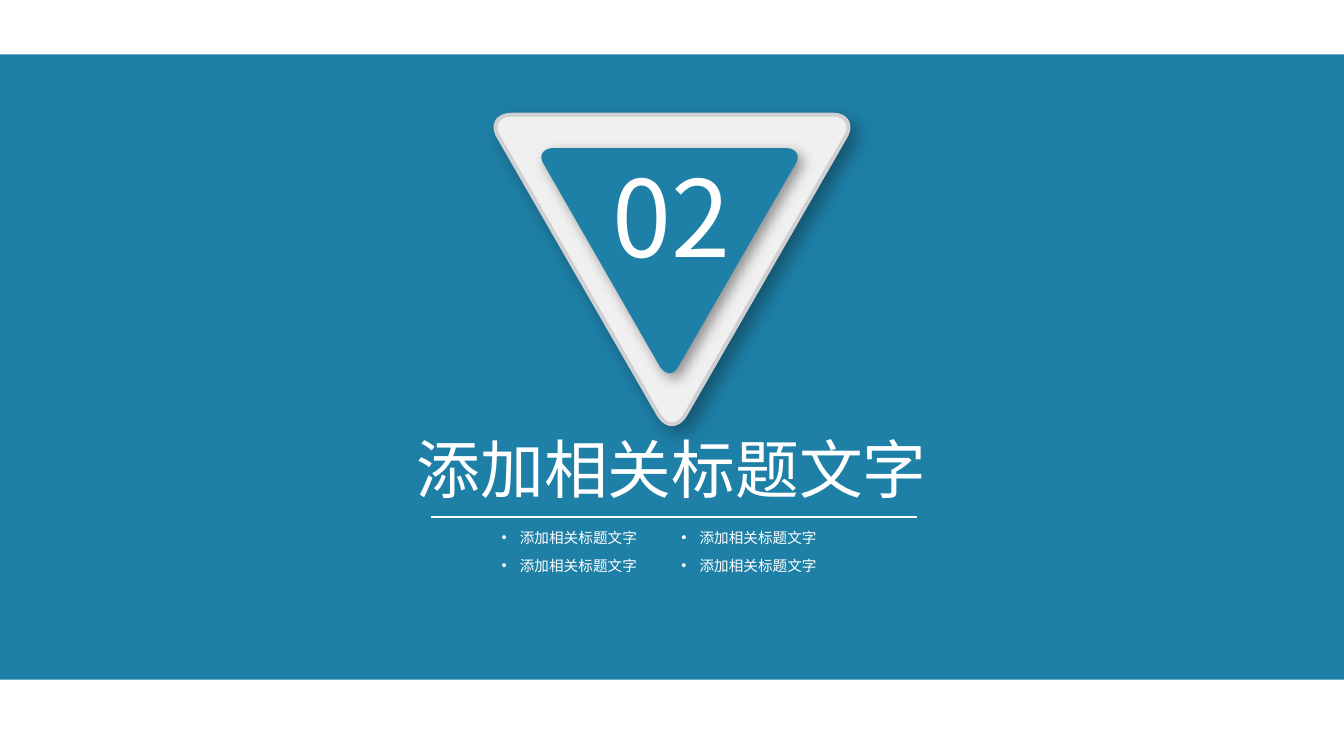
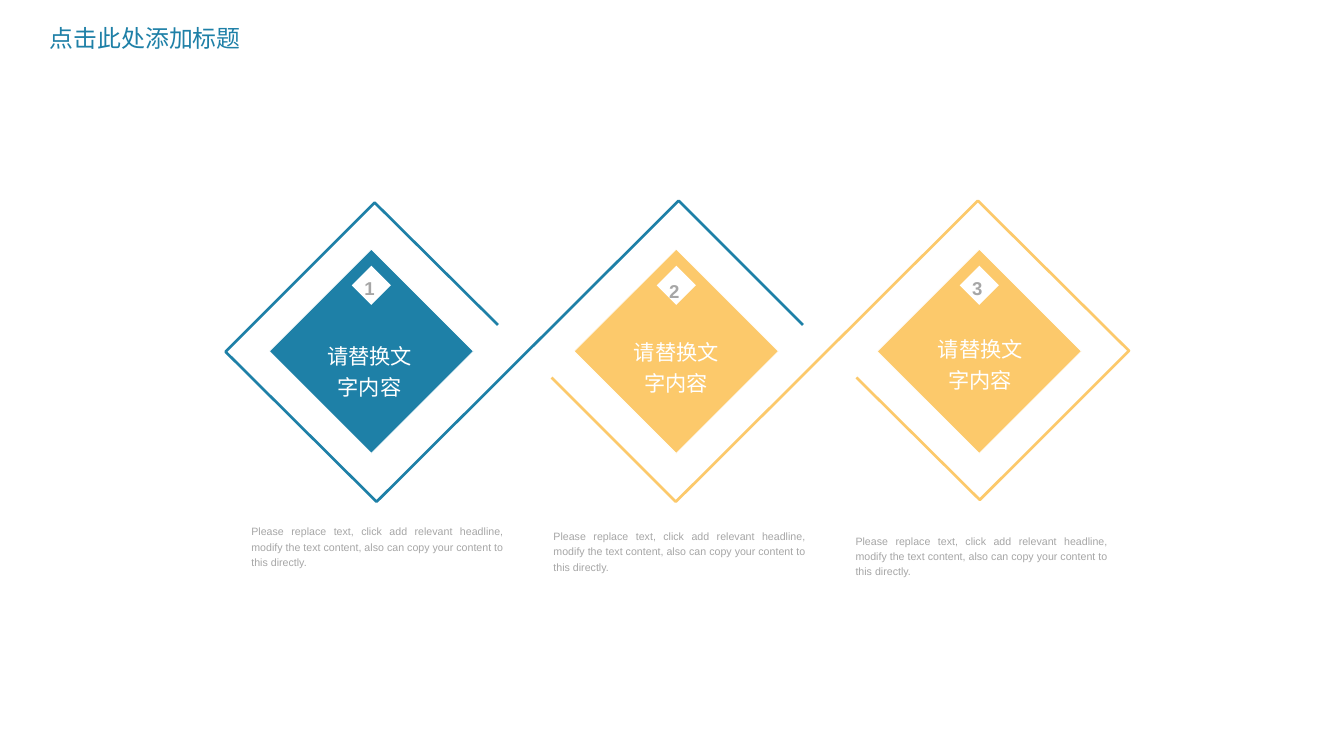
from lxml import etree
from pptx import Presentation
from pptx.dml.color import RGBColor
from pptx.enum.shapes import MSO_CONNECTOR as Connector, MSO_SHAPE as Shape
from pptx.enum.text import MSO_ANCHOR as Anchor, MSO_AUTO_SIZE as AutoSize, PP_ALIGN as Align
from pptx.oxml.ns import qn
from pptx.util import Emu, Inches, Pt

BLUE, YELLOW, WHITE = "1E80A7", "FCC96B", "FFFFFF"
GREY, PALE, EDGE = "A6A6A6", "F0F0F0", "D0CFD1"
ARIAL, NOTO = "Arial", "Noto Sans CJK SC"
TOPIC = "添加相关标题文字"
BODY = ("Please replace text, click add relevant headline, modify the text content, "
        "also can copy your content to this directly.")

# Each corner is a cubic curve: start, two control points, end.
OUTER_CORNERS = [
    [(5.22, 1.44), (5.14, 1.31), (5.2, 1.2), (5.36, 1.2)],
    [(8.71, 1.2), (8.86, 1.2), (8.92, 1.31), (8.84, 1.44)],
    [(7.17, 4.34), (7.09, 4.47), (6.97, 4.47), (6.89, 4.34)],
]
INNER_CORNERS = [
    [(5.69, 1.72), (5.63, 1.63), (5.68, 1.55), (5.79, 1.55)],
    [(8.22, 1.55), (8.33, 1.55), (8.38, 1.63), (8.32, 1.72)],
    [(7.1, 3.83), (7.05, 3.93), (6.96, 3.93), (6.9, 3.83)],
]


def color(value):
    return RGBColor.from_string(value)


def curve_points(corner, steps=12):
    """Sample a cubic curve, both ends included."""
    points = []
    for step in range(steps + 1):
        t = step / steps
        weights = ((1 - t) ** 3, 3 * t * (1 - t) ** 2, 3 * t * t * (1 - t), t ** 3)
        points.append(tuple(sum(weight * point[axis] for weight, point in zip(weights, corner))
                            for axis in (0, 1)))
    return points


class Deck:
    """The presentation, its style and the slide being filled."""

    def __init__(self, width, height):
        self.presentation = Presentation()
        self.presentation.slide_width = Inches(width)
        self.presentation.slide_height = Inches(height)
        self.slide = None

    def new_slide(self):
        self.slide = self.presentation.slides.add_slide(self.presentation.slide_layouts[6])

    def paint(self, shape, fill=None, line=None, weight=1):
        shape.shadow.inherit = False
        if fill:
            shape.fill.solid()
            shape.fill.fore_color.rgb = color(fill)
        else:
            shape.fill.background()
        if line:
            shape.line.color.rgb = color(line)
            shape.line.width = Pt(weight)
        else:
            shape.line.fill.background()
        return shape

    def rectangle(self, left, top, width, height, rotation=0, **style):
        shape = self.slide.shapes.add_shape(
            Shape.RECTANGLE, Inches(left), Inches(top), Inches(width), Inches(height))
        shape.rotation = rotation
        return self.paint(shape, **style)

    def outline(self, points, close=False, **style):
        points = [(Inches(x), Inches(y)) for x, y in points]
        builder = self.slide.shapes.build_freeform(*points[0])
        builder.add_line_segments(points[1:], close=close)
        return self.paint(builder.convert_to_shape(), **style)

    def rounded_triangle(self, corners, shadow, **style):
        points = [point for corner in corners for point in curve_points(corner)]
        self.cast_shadow(self.outline(points, close=True, **style), *shadow)

    def cast_shadow(self, shape, opacity, blur, distance, angle=45):
        effects = shape._element.spPr.find(qn("a:effectLst"))
        outer = etree.SubElement(
            effects, qn("a:outerShdw"), blurRad=str(Pt(blur)), dist=str(Pt(distance)),
            dir=str(angle * 60000), algn="tl", rotWithShape="0")
        black = etree.SubElement(outer, qn("a:srgbClr"), val="000000")
        etree.SubElement(black, qn("a:alpha"), val=str(opacity * 1000))

    def rule(self, start, end, line, weight):
        connector = self.slide.shapes.add_connector(
            Connector.STRAIGHT, *(Inches(value) for value in start + end))
        connector.line.color.rgb = color(line)
        connector.line.width = Pt(weight)
        etree.SubElement(connector._element.spPr, qn("a:effectLst"))

    def text(self, text, left, top, width, height, size, fill, font=ARIAL, bold=False,
             align=Align.LEFT, spacing=None, anchor=Anchor.TOP, wrap=True, grow=True,
             inset=True, bullet=False):
        box = self.slide.shapes.add_textbox(
            Inches(left), Inches(top), Inches(width), Inches(height))
        frame = box.text_frame
        frame_format = {
            "word_wrap": wrap, "vertical_anchor": anchor,
            "auto_size": AutoSize.SHAPE_TO_FIT_TEXT if grow else AutoSize.NONE}
        if not inset:
            frame_format.update(dict.fromkeys(
                ("margin_left", "margin_top", "margin_right", "margin_bottom"), Emu(0)))
        for name, value in frame_format.items():
            setattr(frame, name, value)
        paragraph = frame.paragraphs[0]
        paragraph.alignment = align
        paragraph.line_spacing = spacing
        if bullet:
            self.add_bullet(paragraph)
        run = paragraph.add_run()
        run.text = text
        for name, value in {"name": font, "size": Pt(size), "bold": bold}.items():
            setattr(run.font, name, value)
        run.font.color.rgb = color(fill)
        etree.SubElement(run._r.get_or_add_rPr(), qn("a:ea"), typeface=font)

    def add_bullet(self, paragraph, indent=0.19):
        properties = paragraph._p.get_or_add_pPr()
        properties.set("marL", str(Inches(indent)))
        properties.set("indent", str(-Inches(indent)))
        etree.SubElement(properties, qn("a:buFont"), typeface=ARIAL)
        etree.SubElement(properties, qn("a:buChar"), char="•")


def section_slide(deck):
    deck.new_slide()
    deck.rectangle(0, 0.57, 14.06, 6.54, fill=BLUE)
    deck.rounded_triangle(OUTER_CORNERS, (35, 15, 7), fill=PALE, line=EDGE, weight=3)
    deck.rounded_triangle(INNER_CORNERS, (40, 10, 5), fill=BLUE)
    deck.text("02", 5.48, 1.69, 3.1, 1.45, 80, WHITE, font=NOTO, align=Align.CENTER, spacing=0.9)
    deck.rule((4.51, 5.41), (9.59, 5.41), WHITE, 2)
    deck.text(TOPIC, 4.36, 4.49, 5.43, 0.81, 48, WHITE, anchor=Anchor.MIDDLE, inset=False)
    for top in (5.48, 5.78):
        for left in (5.15, 7.03):
            deck.text(TOPIC, left, top, 1.63, 0.29, 11, WHITE, wrap=False, bullet=True)


def diamonds_slide(deck):
    deck.new_slide()
    deck.text("点击此处添加标题", 0.42, 0.23, 2.36, 0.39, 18, BLUE, font=NOTO,
              spacing=0.9, grow=False)

    # The yellow ribbon is the blue one turned by half a circle.
    blue_ribbon = [(8.4, 3.4), (7.1, 2.1), (3.94, 5.25), (2.36, 3.68), (3.92, 2.12), (5.21, 3.4)]
    yellow_ribbon = [(14.17 - x, 7.35 - y) for x, y in blue_ribbon]
    deck.outline(blue_ribbon, line=BLUE, weight=2)
    deck.outline(yellow_ribbon, line=YELLOW, weight=2)

    # Diamond left and fill, number top and anchor, label left and top.
    columns = [
        (3.13, BLUE, 2.86, Anchor.MIDDLE, 3.37, 3.54),
        (6.32, YELLOW, 2.88, Anchor.TOP, 6.58, 3.5),
        (9.49, YELLOW, 2.86, Anchor.MIDDLE, 9.76, 3.47),
    ]
    centred = {"align": Align.CENTER, "spacing": 1.2, "inset": False}
    for index, (left, fill, number_top, anchor, label_left, label_top) in enumerate(columns):
        deck.rectangle(left, 2.92, 1.51, 1.51, rotation=315, fill=fill, line=WHITE, weight=0.5)
        deck.rectangle(left + 0.61, 2.84, 0.29, 0.29, rotation=315, fill=WHITE)
        deck.text(str(index + 1), left + 0.68, number_top, 0.11, 0.26, 14, GREY, bold=True,
                  anchor=anchor, wrap=False, **centred)
        deck.text("请替换文字内容", label_left, label_top, 0.99, 0.62, 16, WHITE, **centred)
        deck.text(BODY, 2.63 + 3.16 * index, 5.47 + 0.05 * index, 2.64, 0.47, 8, GREY,
                  align=Align.JUSTIFY, spacing=1.2, inset=False)


def main():
    deck = Deck(14.06, 7.91)
    section_slide(deck)
    diamonds_slide(deck)
    deck.presentation.save("out.pptx")


if __name__ == "__main__":
    main()
